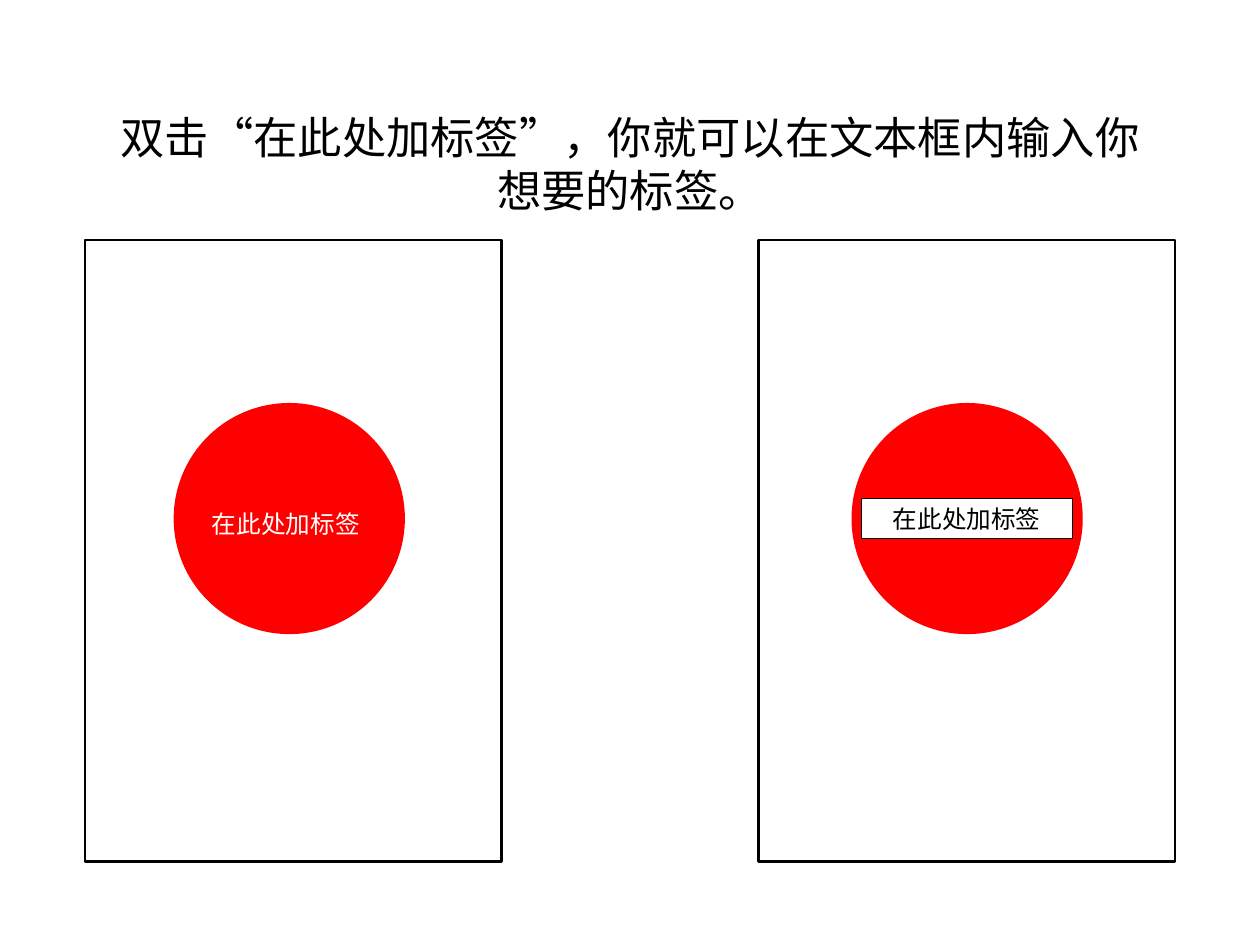
from pptx import Presentation
from pptx.dml.color import RGBColor
from pptx.enum.lang import MSO_LANGUAGE_ID
from pptx.enum.shapes import MSO_SHAPE
from pptx.enum.text import MSO_ANCHOR, MSO_AUTO_SIZE, PP_ALIGN
from pptx.util import Inches, Pt

BLACK = RGBColor(0x00, 0x00, 0x00)
WHITE = RGBColor(0xFF, 0xFF, 0xFF)
RED = RGBColor(0xFF, 0x00, 0x00)
FONT = "Roboto"

INSTRUCTION = "双击“在此处加标签”，你就可以在文本框内输入你想要的标签。"
LABEL = "在此处加标签"
CARD_WIDTH, CARD_HEIGHT = 4.7, 7.02
CARD_TOP = 2.71
DISC_SIZE = 2.61
DISC_TOP = 1.84
LABEL_HEIGHT = 0.45


def write_text(shape, text, size, color):
    """Set one centred paragraph in the given shape."""
    frame = shape.text_frame
    frame.text = text
    frame.word_wrap = True
    frame.auto_size = MSO_AUTO_SIZE.NONE
    frame.vertical_anchor = MSO_ANCHOR.MIDDLE
    frame.margin_left = frame.margin_right = Inches(0.06)
    frame.margin_top = frame.margin_bottom = Inches(0.06)
    para = frame.paragraphs[0]
    para.alignment = PP_ALIGN.CENTER
    span = para.runs[0]
    span.font.size = Pt(size)
    span.font.name = FONT
    span.font.color.rgb = color
    span.font.language_id = MSO_LANGUAGE_ID.SIMPLIFIED_CHINESE


def add_figure(page, kind, left, top, width, height,
               fill=None, line_width=None):
    """Add a plain shape with an optional fill and black outline."""
    shape = page.shapes.add_shape(
        kind, Inches(left), Inches(top), Inches(width), Inches(height))
    shape.shadow.inherit = False
    if fill is None:
        shape.fill.background()
    else:
        shape.fill.solid()
        shape.fill.fore_color.rgb = fill
    if line_width is None:
        shape.line.fill.background()
    else:
        shape.line.color.rgb = BLACK
        shape.line.width = Pt(line_width)
    return shape


def add_title(page, left, top, width, height):
    title = page.shapes.title
    title.left, title.top = Inches(left), Inches(top)
    title.width, title.height = Inches(width), Inches(height)
    write_text(title, INSTRUCTION, 36, BLACK)


def add_card(page, left, top, disc_left):
    """Add a framed card with a red disc, placed from the card's corner."""
    add_figure(page, MSO_SHAPE.RECTANGLE, left, top,
               CARD_WIDTH, CARD_HEIGHT, line_width=2)
    add_figure(page, MSO_SHAPE.OVAL, left + disc_left, top + DISC_TOP,
               DISC_SIZE, DISC_SIZE, fill=RED)


def add_plain_label(page, left, top, width):
    box = page.shapes.add_textbox(
        Inches(left), Inches(top), Inches(width), Inches(LABEL_HEIGHT))
    write_text(box, LABEL, 20, WHITE)


def add_boxed_label(page, left, top, width):
    box = add_figure(page, MSO_SHAPE.RECTANGLE, left, top, width,
                     LABEL_HEIGHT, fill=WHITE, line_width=1)
    write_text(box, LABEL, 20, BLACK)


def main():
    deck = Presentation()
    deck.slide_width, deck.slide_height = Inches(14.22), Inches(10.67)
    page = deck.slides.add_slide(deck.slide_layouts[5])
    page.background.fill.solid()
    page.background.fill.fore_color.rgb = WHITE

    add_title(page, 1.07, 1.18, 12.08, 1.32)

    # Left card: label straight on the disc
    left_card, right_card = 0.96, 8.56
    add_card(page, left_card, CARD_TOP, disc_left=1)
    add_plain_label(page, left_card + 1.12, CARD_TOP + 2.98, 2.29)

    # Right card: label in a white box
    add_card(page, right_card, CARD_TOP, disc_left=1.05)
    add_boxed_label(page, right_card + 1.16, CARD_TOP + 2.92, 2.38)

    deck.save("out.pptx")


if __name__ == "__main__":
    main()
